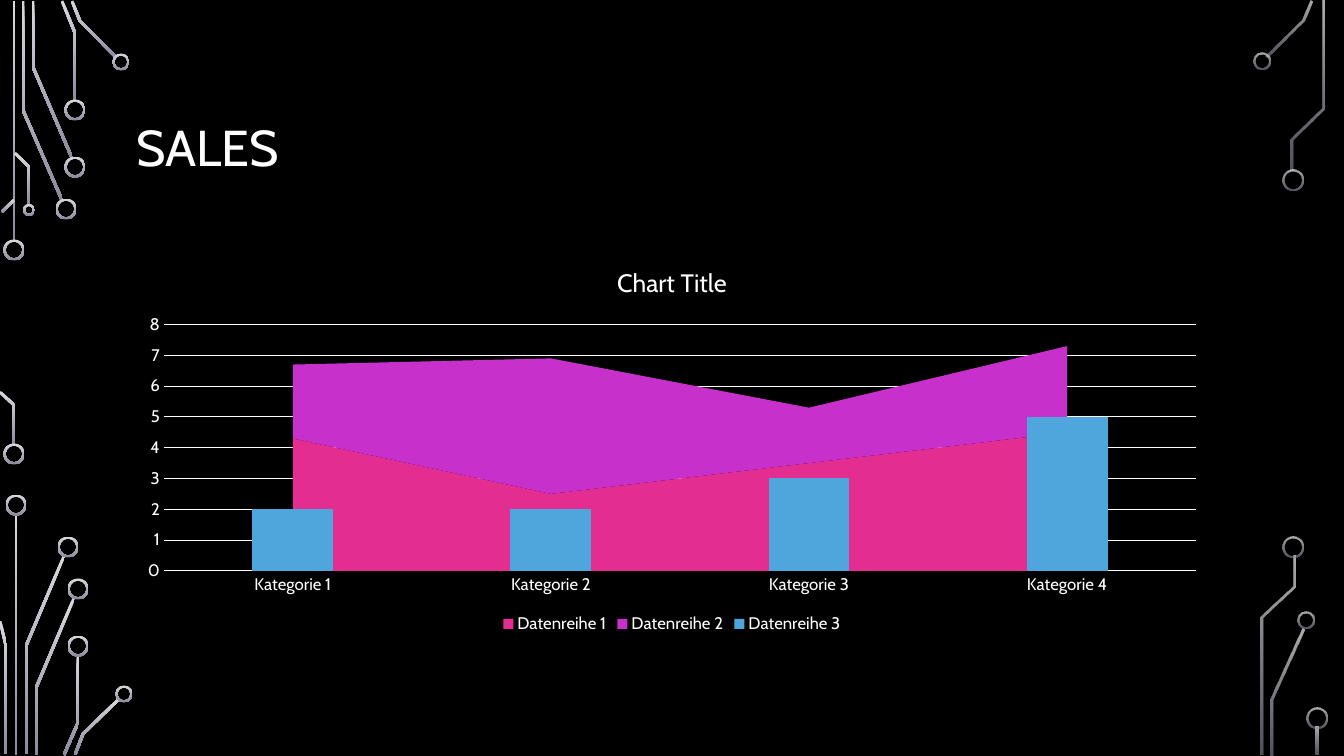
import math

from pptx import Presentation
from pptx import util as u
from pptx.chart import data
from pptx.dml import color
from pptx.enum import chart as charts, shapes, text
from pptx.oxml import ns, parse_xml

WHITE = "FFFFFF"
SILVER = (("D8D9DC", 80), ("8A8A9C", 60))
RING_WIDTH = 2
TRACE_WIDTH = 2.8

LEFT_TRACES = [
    [(14, 1), (14, 242)],
    [(62, 200), (23, 110), (23, 1)],
    [(72, 158), (33, 67), (33, 1)],
    [(75, 101), (75, 33), (62, 1)],
    [(116, 57), (80, 21), (72, 1)],
    [(2, 212), (14, 200)],
    [(14, 445), (14, 405), (0, 392)],
    [(29, 205), (29, 167), (15, 153)],
    [(16, 514), (16, 755)],
    [(26, 754), (26, 646), (64, 556)],
    [(6, 754), (6, 646), (0, 621)],
    [(36, 755), (36, 688), (74, 598)],
    [(64, 755), (78, 723), (78, 655)],
    [(75, 755), (83, 734), (119, 699)],
]
LEFT_RINGS = [
    (14, 250, 21), (14, 454, 21), (66, 209, 21), (75, 167, 21),
    (75, 110, 21), (121, 62, 17), (29, 210, 12), (16, 505, 21),
    (68, 547, 21), (78, 589, 21), (78, 646, 21), (124, 694, 17),
]
RIGHT_TRACES = [
    [(1267, 56), (1303, 20), (1311, 1)],
    [(1292, 170), (1292, 139), (1323, 108), (1323, 1)],
    [(1262, 755), (1262, 618), (1294, 587), (1294, 556)],
    [(1272, 755), (1272, 699), (1303, 629)],
    [(1317, 727), (1317, 755)],
]
RIGHT_RINGS = [
    (1262, 61, 17), (1293, 180, 21), (1293, 547, 21),
    (1306, 620, 17), (1317, 718, 21),
]
CATEGORIES = [f"Kategorie {number}" for number in range(1, 5)]
SERIES = [
    ("Datenreihe 1", (4.3, 2.5, 3.5, 4.5), "E32D91"),
    ("Datenreihe 2", (2.4, 4.4, 1.8, 2.8), "C830CC"),
    ("Datenreihe 3", (2, 2, 3, 5), "4EA6DC"),
]


def px(length):
    """Turn picture pixels into EMU."""
    return u.Emu(round(length * 914400 / 100.8))


def rgb(value):
    """Turn a hex string into a colour."""
    return color.RGBColor.from_string(value)


def assign(target, values):
    """Set attributes of a target from a dict."""
    for name, value in values.items():
        setattr(target, name, value)


def set_font(font, size, hue=WHITE):
    """Give a font the style of the slide."""
    assign(font, {"name": "Cabin", "size": u.Pt(size), "bold": False})
    font.color.rgb = rgb(hue)


def set_line(line, hue=WHITE, width=0.75):
    """Give a line a colour and width."""
    line.color.rgb = rgb(hue)
    line.width = u.Pt(width)


def outline(points, width):
    """Return the mitred outline of a path of the given width."""
    normals = []
    for (x1, y1), (x2, y2) in zip(points, points[1:]):
        length = math.hypot(x2 - x1, y2 - y1)
        normals.append(((y1 - y2) / length, (x2 - x1) / length))
    near, far = [], []
    for (x, y), a, b in zip(points, normals[:1] + normals, normals + normals[-1:]):
        factor = width / 2 / (1 + a[0] * b[0] + a[1] * b[1])
        dx, dy = (a[0] + b[0]) * factor, (a[1] + b[1]) * factor
        near.append((px(x + dx), px(y + dy)))
        far.append((px(x - dx), px(y - dy)))
    return near + far[::-1]


class Deck:
    """Hold the presentation, its style and the current slide."""

    def __init__(self, width, height):
        """Start a presentation with one dark slide."""
        self.presentation = Presentation()
        assign(self.presentation, {"slide_width": px(width), "slide_height": px(height)})
        self.slide = self.presentation.slides.add_slide(self.presentation.slide_layouts[5])
        fill = self.slide.background.fill
        fill.solid()
        fill.fore_color.rgb = rgb("000000")

    def silver(self, shape, faded):
        """Fill a shape with the silver gradient."""
        shape.shadow.inherit = False
        shape.line.fill.background()
        shape.fill.gradient()
        shape.fill.gradient_angle = 270
        for stop, (hue, alpha) in zip(shape.fill.gradient_stops, SILVER):
            stop.color.rgb = rgb(hue)
        if faded:
            colors = shape.element.spPr.iter(ns.qn("a:srgbClr"))
            for element, (hue, alpha) in zip(list(colors), SILVER):
                element.append(parse_xml(f'<a:alpha {ns.nsdecls("a")} val="{alpha * 1000}"/>'))

    def trace(self, points, faded):
        """Draw a circuit trace along points."""
        corners = outline(points, TRACE_WIDTH)
        builder = self.slide.shapes.build_freeform(*corners[0], scale=1.0)
        builder.add_line_segments(corners[1:], close=True)
        self.silver(builder.convert_to_shape(), faded)

    def ring(self, x, y, size, faded):
        """Draw a circuit ring around a centre."""
        shape = self.slide.shapes.add_shape(
            shapes.MSO_SHAPE.DONUT, px(x - size / 2), px(y - size / 2), px(size), px(size))
        shape.adjustments[0] = RING_WIDTH / size
        self.silver(shape, faded)

    def title(self, words, left, top, width, height):
        """Place and format the title."""
        shape = self.slide.shapes.title
        assign(shape, {"left": px(left), "top": px(top), "width": px(width), "height": px(height)})
        frame = shape.text_frame
        frame.text = words
        assign(frame, {"word_wrap": True, "auto_size": text.MSO_AUTO_SIZE.NONE,
                       "vertical_anchor": text.MSO_ANCHOR.MIDDLE})
        paragraph = frame.paragraphs[0]
        assign(paragraph, {"alignment": text.PP_ALIGN.LEFT, "line_spacing": 0.9})
        set_font(paragraph.runs[0].font, 36)

    def chart(self, heading, left, top, width, height):
        """Add stacked areas with the last series as columns."""
        chart_data = data.CategoryChartData()
        chart_data.categories = CATEGORIES
        for name, values, hue in SERIES:
            chart_data.add_series(name, values)
        chart = self.slide.shapes.add_chart(
            charts.XL_CHART_TYPE.AREA_STACKED, px(left), px(top), px(width), px(height),
            chart_data).chart
        set_font(chart.font, 10)
        chart.has_title = True
        chart.chart_title.text_frame.text = heading
        set_font(chart.chart_title.text_frame.paragraphs[0].runs[0].font, 18)
        chart.has_legend = True
        assign(chart.legend, {"position": charts.XL_LEGEND_POSITION.BOTTOM,
                              "include_in_layout": False})
        set_font(chart.legend.font, 12)
        for axis in (chart.category_axis, chart.value_axis):
            assign(axis, {"major_tick_mark": charts.XL_TICK_MARK.NONE,
                          "minor_tick_mark": charts.XL_TICK_MARK.NONE})
            set_font(axis.tick_labels.font, 12)
        set_line(chart.category_axis.format.line)
        chart.category_axis.has_major_gridlines = False
        assign(chart.value_axis, {"minimum_scale": 0, "maximum_scale": 8, "major_unit": 1,
                                  "has_major_gridlines": True})
        chart.value_axis.format.line.fill.background()
        set_line(chart.value_axis.major_gridlines.format.line)
        chart.plots[0].vary_by_categories = False
        for series, (name, values, hue) in zip(chart.plots[0].series, SERIES):
            series.format.fill.solid()
            series.format.fill.fore_color.rgb = rgb(hue)
        self.columns(chart.element)

    def columns(self, element):
        """Move the last area series into a column plot on the same axes."""
        areas = element.find(".//" + ns.qn("c:areaChart"))
        axes = "".join(f'<c:axId val="{axis.get("val")}"/>'
                       for axis in areas.findall(ns.qn("c:axId")))
        bars = parse_xml(
            f'<c:barChart {ns.nsdecls("c")}><c:barDir val="col"/><c:grouping val="clustered"/>'
            f'<c:varyColors val="0"/><c:gapWidth val="219"/>{axes}</c:barChart>')
        bars.insert(3, areas.findall(ns.qn("c:ser"))[-1])
        areas.addnext(bars)
        element.find(".//" + ns.qn("c:crossBetween")).set("val", "between")


deck = Deck(1344, 756)
for traces, rings, faded in ((LEFT_TRACES, LEFT_RINGS, False), (RIGHT_TRACES, RIGHT_RINGS, True)):
    for points in traces:
        deck.trace(points, faded)
    for ring in rings:
        deck.ring(*ring, faded)
deck.title("SALES", 126, 69, 1092, 163)
deck.chart("Chart Title", 126, 248, 1092, 390)
deck.presentation.save("out.pptx")
